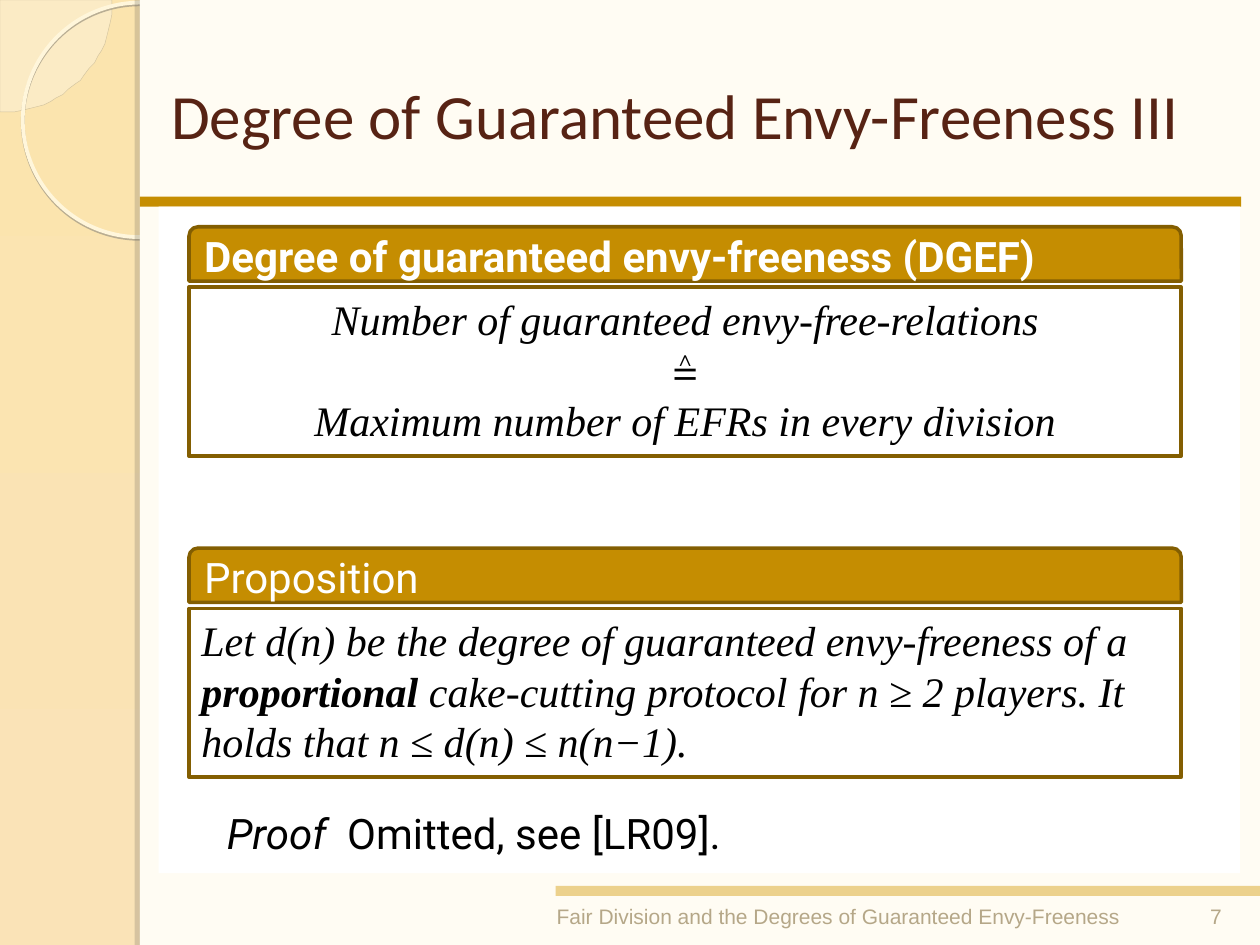
"""Build the slide on the degree of guaranteed envy-freeness."""
from math import cos, pi, sin

from lxml.etree import SubElement
from pptx import Presentation
from pptx.dml.color import RGBColor
from pptx.enum.shapes import MSO_SHAPE
from pptx.enum.text import MSO_ANCHOR, PP_ALIGN
from pptx.oxml.ns import qn
from pptx.util import Pt

COLORS = {
    "bg_top": "FBE4AE", "bg_bottom": "FAE3B7", "cream": "FFFCF3",
    "disc": "FEFAF4", "disc_line": "D2C39E", "ring": "FFF6DB",
    "ring_shadow": "AFA58D", "edge_shadow": "706B5F", "gold": "C58D01",
    "dark_gold": "835E01", "pale_gold": "ECD18C", "title": "572314",
    "footer": "B5A788", "white": "FFFFFF", "black": "000000",
}
BLOCK_LEFT, BLOCK_WIDTH = 108, 567


def rgb(name):
    return RGBColor.from_string(COLORS[name])


def paint(shape, fill=None, line=None, width=1):
    shape.shadow.inherit = False
    if fill:
        shape.fill.solid()
        shape.fill.fore_color.rgb = rgb(fill)
    else:
        shape.fill.background()
    if line:
        shape.line.color.rgb = rgb(line)
        shape.line.width = Pt(width)
    else:
        shape.line.fill.background()
    return shape


def add_box(s, kind, box, fill=None, line=None, width=1):
    return paint(s.shapes.add_shape(kind, *map(Pt, box)), fill, line, width)


def add_shadow(shape, color, alpha, dist, angle):
    effects = shape._element.spPr.find(qn("a:effectLst"))
    shadow = SubElement(effects, qn("a:outerShdw"), blurRad="0", dist=str(Pt(dist)),
                        dir=str(angle * 60000), algn="tl", rotWithShape="0")
    clr = SubElement(shadow, qn("a:srgbClr"), val=COLORS[color])
    SubElement(clr, qn("a:alpha"), val=str(alpha * 1000))


def add_quarter_disc(s, radius, steps=24):
    arc = [(radius * cos(i * pi / 2 / steps), radius * sin(i * pi / 2 / steps))
           for i in range(steps + 1)]
    builder = s.shapes.build_freeform(0, 0, scale=Pt(1))
    builder.add_line_segments(arc)
    disc = paint(builder.convert_to_shape(), "disc", "disc_line", 0.25)
    clr = disc._element.spPr.find(qn("a:solidFill"))[0]
    SubElement(clr, qn("a:alpha"), val="33000")


def set_text(shape, paragraphs, font, size, color, bold=False, italic=False,
             align=PP_ALIGN.LEFT, anchor=MSO_ANCHOR.MIDDLE):
    """Fill a shape with paragraphs, each a list of (text, run font overrides)."""
    tf = shape.text_frame
    tf.word_wrap = True
    tf.vertical_anchor = anchor
    for i, runs in enumerate(paragraphs):
        p = tf.add_paragraph() if i else tf.paragraphs[0]
        p.alignment = align
        p.font.name, p.font.size = font, Pt(size)
        p.font.bold, p.font.italic = bold, italic
        p.font.color.rgb = rgb(color)
        for text, overrides in runs:
            r = p.add_run()
            r.text = text
            for name, value in overrides.items():
                setattr(r.font, name, value)
    return tf


def add_label(s, box, text, *style, **options):
    set_text(s.shapes.add_textbox(*map(Pt, box)), [[(text, {})]], *style, **options)


def add_block(s, top, heading, paragraphs, bold=False, align=PP_ALIGN.LEFT):
    head = add_box(s, MSO_SHAPE.ROUND_2_SAME_RECTANGLE,
                   (BLOCK_LEFT, top, BLOCK_WIDTH, 31), "gold", "dark_gold", 2)
    set_text(head, [[(heading, {})]], "Roboto", 24, "white", bold=bold)
    body = add_box(s, MSO_SHAPE.RECTANGLE,
                   (BLOCK_LEFT, top + 34.5, BLOCK_WIDTH, 96.5), "white", "dark_gold", 2)
    set_text(body, paragraphs, "Times New Roman", 24, "black", italic=True,
             align=align, anchor=MSO_ANCHOR.TOP)


def add_backdrop(s):
    fill = s.background.fill
    fill.gradient()
    fill.gradient_angle = 270
    for stop, name in zip(fill.gradient_stops, ("bg_top", "bg_bottom")):
        stop.color.rgb = rgb(name)
    add_quarter_disc(s, 64.5)
    ring = add_box(s, MSO_SHAPE.OVAL, (13, 1.5, 134, 134), line="ring", width=2.15)
    add_shadow(ring, "ring_shadow", 85, 1, 90)
    add_box(s, MSO_SHAPE.RECTANGLE, (80, 0, 640, 540), "cream")
    edge = add_box(s, MSO_SHAPE.RECTANGLE, (80, 0, 4.3, 540), "cream")
    add_shadow(edge, "edge_shadow", 25, 3, 180)
    add_box(s, MSO_SHAPE.RECTANGLE, (80, 112.3, 629.3, 5.8), "gold")
    add_box(s, MSO_SHAPE.RECTANGLE, (317.5, 506.2, 402.5, 5.8), "pale_gold")


def add_proof_panel(s):
    panel = add_box(s, MSO_SHAPE.RECTANGLE, (90.7, 118, 617.8, 381), "white")
    tf = set_text(panel, [[("Proof\u00a0 ".replace("\u00a0", " "), {"italic": True}),
                           ("Omitted, see [LR09].", {})]],
                  "Roboto", 24, "black", anchor=MSO_ANCHOR.BOTTOM)
    tf.margin_left, tf.margin_bottom = Pt(38.9), Pt(8.6)


def main():
    prs = Presentation()
    prs.slide_width, prs.slide_height = Pt(720), Pt(540)
    s = prs.slides.add_slide(prs.slide_layouts[6])
    add_backdrop(s)
    add_label(s, (90.7, 20.2, 617.8, 90), "Degree of Guaranteed Envy-Freeness III",
              "Calibri", 36, "title")
    add_proof_panel(s)
    add_block(s, 129.6, "Degree of guaranteed envy-freeness (DGEF)", [
        [("Number of guaranteed envy-free-relations", {})],
        [("≙", {"italic": False})],
        [("Maximum number of EFRs in every division", {})],
    ], bold=True, align=PP_ALIGN.CENTER)
    add_block(s, 313.2, "Proposition", [[
        ("Let d(n) be the degree of guaranteed envy-freeness of a ", {}),
        ("proportional", {"bold": True}),
        (" cake-cutting protocol for n ≥ 2 players. "
         "It holds that n ≤ d(n) ≤ n(n−1).", {}),
    ]])
    add_label(s, (311, 496.8, 354.2, 37.4),
              "Fair Division and the Degrees of Guaranteed Envy-Freeness",
              "Arial", 12, "footer", anchor=MSO_ANCHOR.BOTTOM)
    add_label(s, (675.4, 496.8, 38.9, 37.4), "7", "Arial", 12, "footer",
              align=PP_ALIGN.CENTER, anchor=MSO_ANCHOR.BOTTOM)
    prs.save("out.pptx")


if __name__ == "__main__":
    main()
